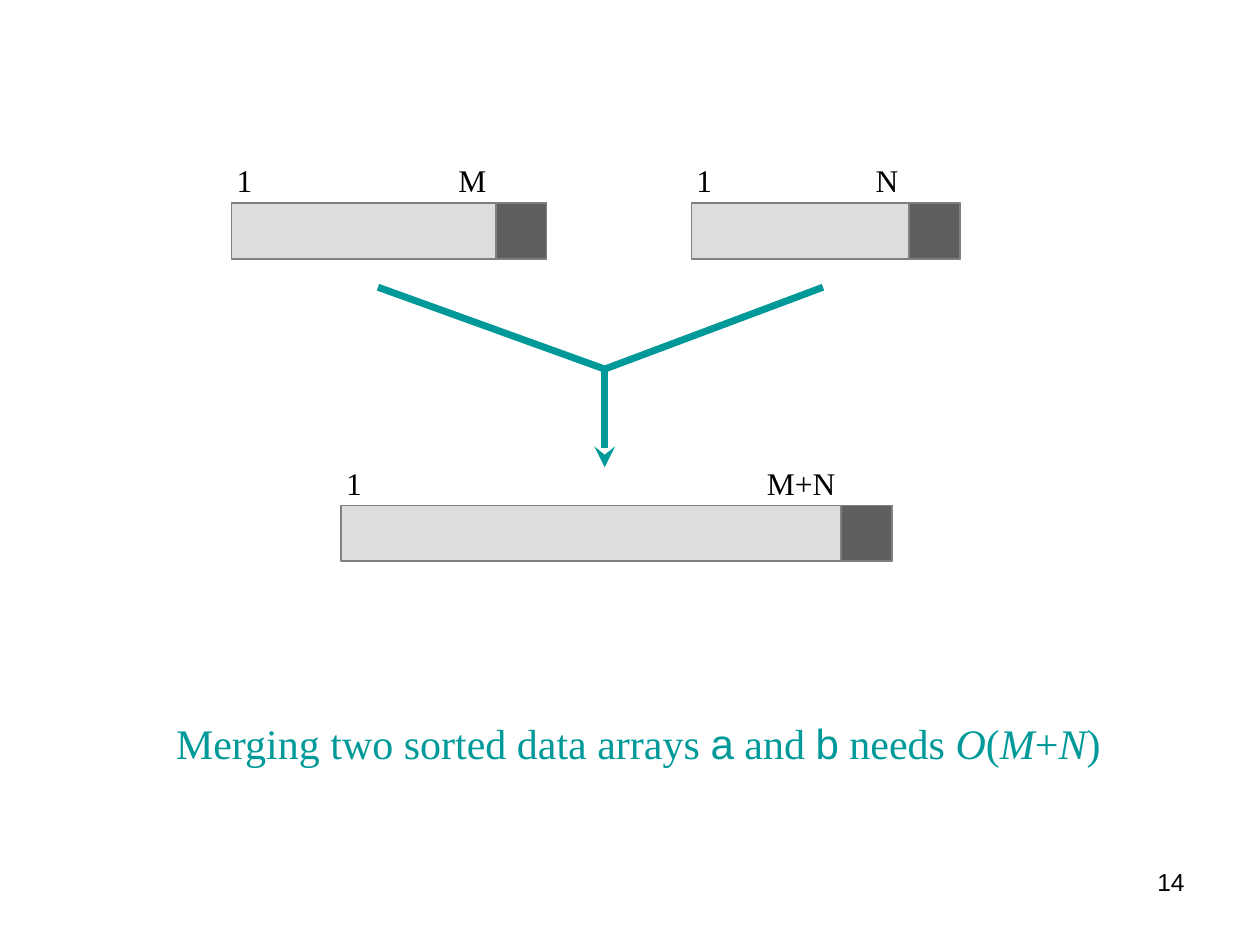
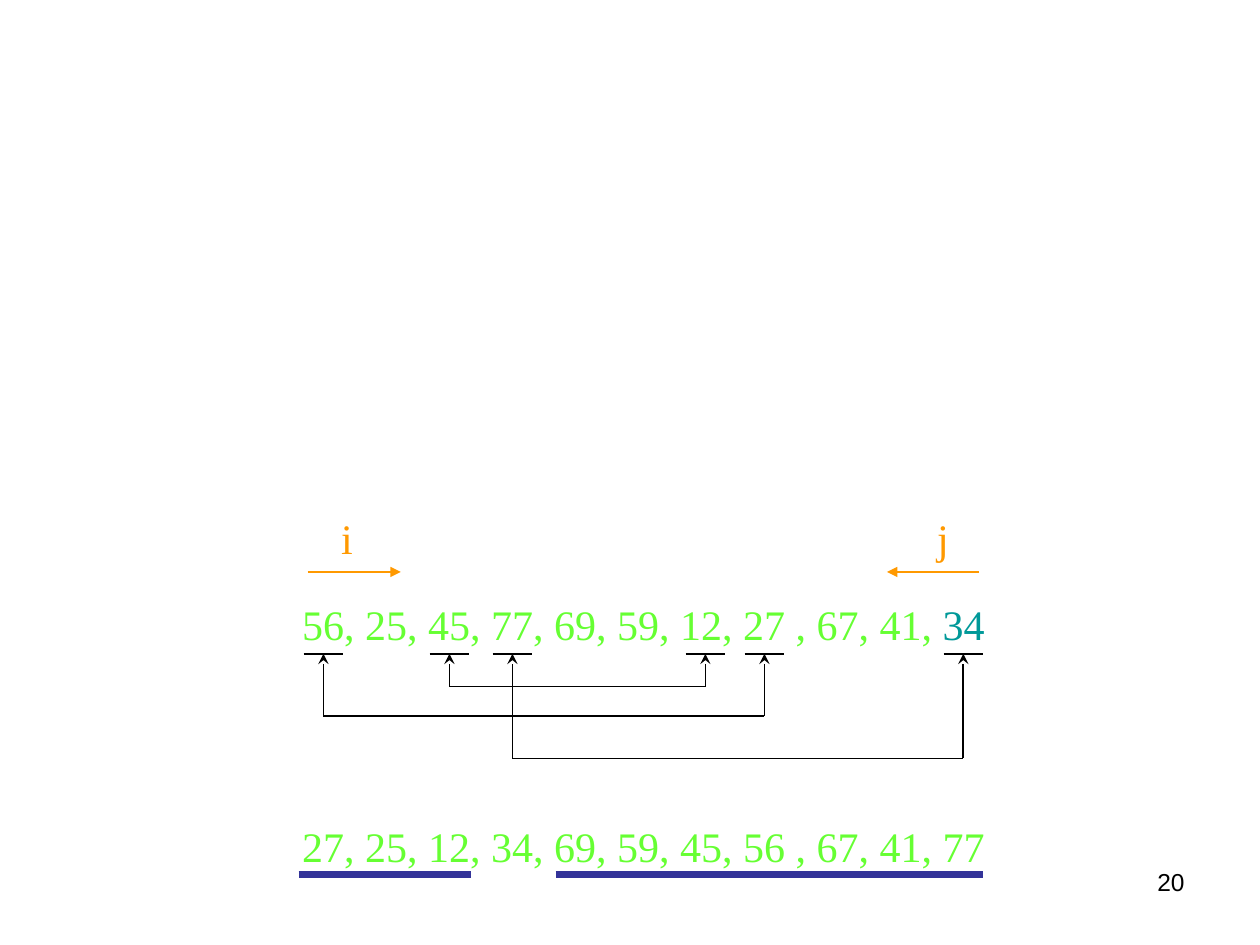
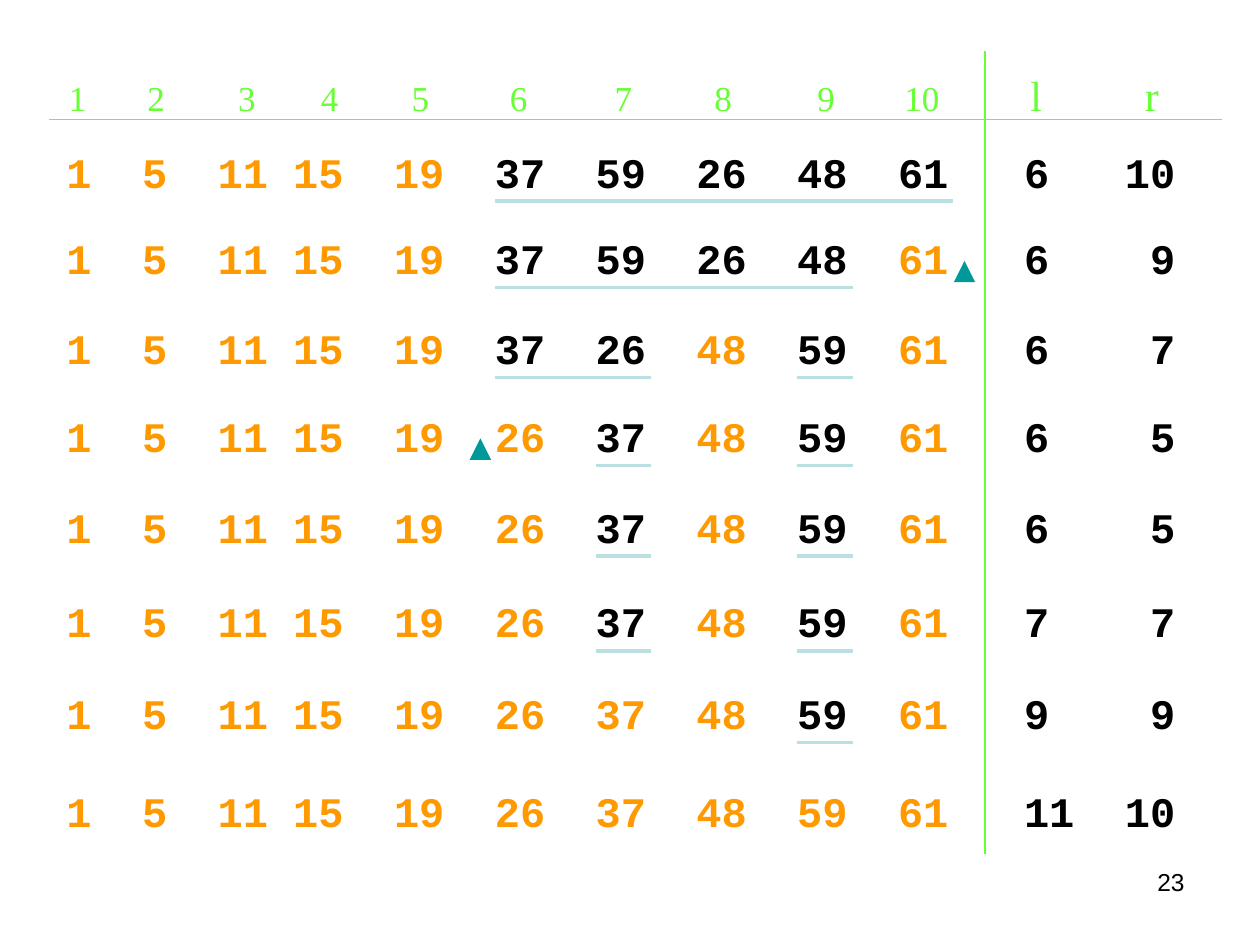
from itertools import groupby

from lxml import etree
from pptx import Presentation
from pptx.dml.color import RGBColor
from pptx.enum import shapes, text
from pptx.oxml.ns import qn
from pptx.util import Cm, Pt

SERIF, SANS, MONO = "Times New Roman", "Arial", "Courier New"
BLACK, TEAL, GREEN, ORANGE = "000000", "009999", "66FF33", "FF9900"
LIGHT, DARK, GREY = "DDDDDD", "5F5F5F", "808080"
NAVY, PALE = "333399", "BBE0E3"


def rgb(value):
    return RGBColor.from_string(value)


class Deck:
    def __init__(self):
        self.prs = Presentation()
        self.prs.slide_width = Cm(25.4)
        self.prs.slide_height = Cm(19.05)
        self.s = None

    def slide(self, number):
        self.s = self.prs.slides.add_slide(self.prs.slide_layouts[6])
        self.text(18.21, 17.35, 5.92, 1.32, number, 14, font=SANS,
                  align=text.PP_ALIGN.RIGHT, wrap=True)

    def text(self, x, y, w, h, runs, size, color=BLACK, font=SERIF,
             bold=None, align=None, wrap=False, tabs=()):
        tf = self.s.shapes.add_textbox(Cm(x), Cm(y), Cm(w), Cm(h)).text_frame
        tf.word_wrap = wrap
        if not wrap:
            tf.auto_size = text.MSO_AUTO_SIZE.SHAPE_TO_FIT_TEXT
        p = tf.paragraphs[0]
        p.alignment = align
        if tabs:
            tab_list = etree.SubElement(p._p.get_or_add_pPr(), qn("a:tabLst"))
            for pos, side in tabs:
                etree.SubElement(tab_list, qn("a:tab"), pos=str(Cm(pos)), algn=side)
        if isinstance(runs, str):
            runs = [(runs, {})]
        for words, style in runs:
            r = p.add_run()
            r.text = words
            r.font.size = Pt(size)
            r.font.name = style.get("font", font)
            r.font.color.rgb = rgb(style.get("color", color))
            r.font.bold = bold
            r.font.italic = style.get("italic")

    def shape(self, kind, x, y, w, h, fill, line=None):
        sp = self.s.shapes.add_shape(kind, Cm(x), Cm(y), Cm(w), Cm(h))
        sp.shadow.inherit = False
        sp.fill.solid()
        sp.fill.fore_color.rgb = rgb(fill)
        if line:
            sp.line.color.rgb = rgb(line)
            sp.line.width = Pt(1)
        else:
            sp.line.fill.background()

    def line(self, x1, y1, x2, y2, color=BLACK, width=1, arrow=None):
        c = self.s.shapes.add_connector(
            shapes.MSO_CONNECTOR.STRAIGHT, Cm(x1), Cm(y1), Cm(x2), Cm(y2))
        c.line.color.rgb = rgb(color)
        c.line.width = Pt(width)
        if arrow:
            etree.SubElement(c.line._get_or_add_ln(), qn("a:tailEnd"), type=arrow)
        etree.SubElement(c._element.spPr, qn("a:effectLst"))

    def array(self, x, y, w, last, last_x, last_w):
        rect = shapes.MSO_SHAPE.RECTANGLE
        height, cap = 1.12, 1.02
        self.shape(rect, x, y, w, height, LIGHT, GREY)
        self.shape(rect, x + w - cap, y, cap, height, DARK, GREY)
        self.text(x - 0.15, y - 0.97, 0.84, 1.02, "1", 18)
        self.text(last_x, y - 0.97, last_w, 1.02, last, 18)

    def swap(self, left, right, bottom):
        top, width = 13.18, 0.8
        for x in (left, right):
            self.line(x, top, x + width, top)
            self.line(x + width / 2, bottom, x + width / 2, top, arrow="stealth")
        self.line(left + width / 2, bottom, right + width / 2, bottom)


def merge_slide(d):
    d.slide("14")
    d.array(4.67, 4.1, 6.35, "M", 8.99, 1.07)
    d.array(13.94, 4.1, 5.41, "N", 17.4, 0.97)
    d.array(6.88, 10.19, 11.1, "M+N", 15.21, 1.91)
    join_x, join_y = 12.19, 7.44
    for x in (7.62, 16.59):
        d.line(x, 5.79, join_x, join_y, TEAL, 4)
    d.line(join_x, join_y, join_x, 9.42, TEAL, 4, "stealth")
    code, italic = {"font": SANS}, {"italic": True}
    d.text(3.3, 14.33, 19.38, 1.27, [
        ("Merging two sorted data arrays ", {}), ("a", code), (" and ", {}),
        ("b", code), (" needs ", {}), ("O", italic), ("(", {}), ("M", italic),
        ("+", {}), ("N", italic), (")", {})], 24, TEAL)


def partition_slide(d):
    d.slide("20")
    d.text(5.84, 11.94, 14.27, 1.27, [
        ("56, 25, 45, 77, 69, 59, 12, 27 , 67, 41, ", {}),
        ("34", {"color": TEAL})], 24, GREEN)
    for left, right, bottom in [(6.12, 15.01, 14.43), (8.66, 13.82, 13.84),
                                (9.93, 19.02, 15.29)]:
        d.swap(left, right, bottom)
    d.text(5.84, 16.41, 14.27, 1.27,
           "27, 25, 12, 34, 69, 59, 45, 56 , 67, 41, 77", 24, GREEN)
    for start, end in [(6.02, 9.5), (11.2, 19.81)]:
        d.line(start, 17.63, end, 17.63, NAVY, 4)
    for name, x, start, end in [("i", 6.63, 6.2, 8.08), ("j", 18.64, 19.74, 17.88)]:
        d.text(x, 10.21, 0.74, 1.27, name, 24, ORANGE)
        d.line(start, 11.53, end, 11.53, ORANGE, arrow="triangle")


def trace_slide(d):
    d.slide("23")
    d.line(0.99, 2.41, 24.64, 2.41, GREEN)
    d.line(19.86, 1.02, 19.86, 17.22, GREEN)
    for name, x in [("l", 20.52), ("r", 22.83)]:
        d.text(x, 1.27, 0.79, 1.27, name, 24, GREEN)
    index_x = [1.14, 2.72, 4.55, 6.22, 8.05, 10.03, 12.14, 14.15, 16.23, 17.98]
    for index, x in enumerate(index_x, 1):
        d.text(x, 1.42, 0.86 if index < 10 else 1.22, 1.09, str(index), 20, GREEN)

    char = 2.54 / 5
    row_x, inset = 1.09, 0.25
    columns = [char * n for n in (0, 3, 6, 9, 13, 17, 21, 25, 29, 33)]
    tabs = [(pos, "l") for pos in columns[1:] + [char * 38]] + [(char * 44, "r")]
    rows = [
        (2.82, "37 59 26 48 61", {6, 7, 8, 9, 10}, "6 10"),
        (4.57, "37 59 26 48 61", {6, 7, 8, 9}, "6 9"),
        (6.38, "37 26 48 59 61", {6, 7, 9}, "6 7"),
        (8.15, "26 37 48 59 61", {7, 9}, "6 5"),
        (9.98, "26 37 48 59 61", {7, 9}, "6 5"),
        (11.89, "26 37 48 59 61", {7, 9}, "7 7"),
        (13.74, "26 37 48 59 61", {9}, "9 9"),
        (15.72, "26 37 48 59 61", set(), "11 10"),
    ]
    for y, tail, unsorted, limits in rows:
        values = ["1", "5", "11", "15", "19"] + tail.split()
        runs = []
        for is_open, group in groupby(range(10), lambda n: n + 1 in unsorted):
            span = list(group)
            words = "\t".join(values[n] for n in span)
            runs.append(("\t" * (span[0] > 0) + words,
                         {"color": BLACK if is_open else ORANGE}))
            if is_open:
                start = row_x + inset + columns[span[0]]
                end = row_x + inset + columns[span[-1]] + 2 * char + 0.1
                d.line(start, y + 1.23, end, y + 1.23, PALE, 2)
        runs.append(("\t" + "\t".join(limits.split()), {"color": BLACK}))
        d.text(row_x, y, 23.4, 1.27, runs, 24, font=MONO, bold=True,
               wrap=True, tabs=tabs)
    for x, y in [(19.23, 5.26), (9.47, 8.84)]:
        d.shape(shapes.MSO_SHAPE.ISOSCELES_TRIANGLE, x, y, 0.43, 0.43, TEAL)


def main():
    d = Deck()
    merge_slide(d)
    partition_slide(d)
    trace_slide(d)
    d.prs.save("out.pptx")


if __name__ == "__main__":
    main()
